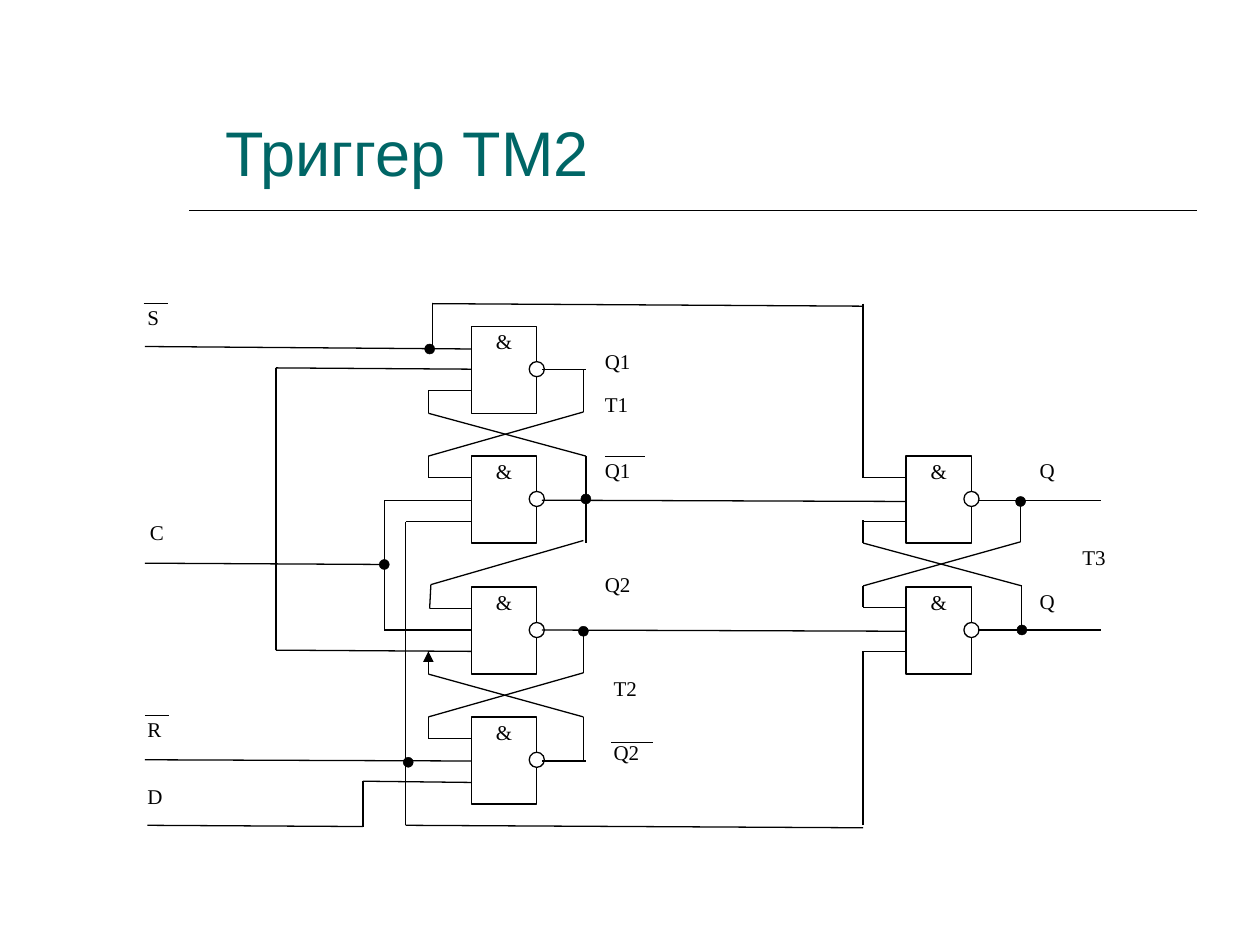
from itertools import pairwise
from typing import NamedTuple

from lxml.etree import SubElement
from pptx import Presentation
from pptx.dml.color import RGBColor
from pptx.enum.shapes import MSO_CONNECTOR, MSO_SHAPE
from pptx.enum.text import MSO_ANCHOR, MSO_AUTO_SIZE, PP_ALIGN
from pptx.oxml.ns import qn
from pptx.util import Pt

EMU_PER_PX = 9144  # 100 px to the inch
COLORS = {"ink": "000000", "paper": "FFFFFF", "title": "006666"}
GATE_WIDTH, GATE_HEIGHT = 52, 69
BUBBLE_SIZE, DOT_SIZE = 12, 8
LABEL_HEIGHT = 34

Point = tuple[int, int]


class Gate(NamedTuple):
    left: int
    top: int


class Latch(NamedTuple):
    """Cross-coupling below an upper gate, with the x of its two output ends."""
    upper: Gate
    output_x: int
    return_x: int
    arrow: bool = False


class Label(NamedTuple):
    text: str
    left: int
    top: int
    width: int = 52


GATES = [Gate(374, top) for top in (259, 362, 466, 569)]
GATES += [Gate(719, top) for top in (362, 466)]
LATCHES = [
    Latch(GATES[0], 463, 465),
    Latch(GATES[2], 463, 463, arrow=True),
    Latch(GATES[4], 810, 811),
]
WIRES: list[list[Point]] = [
    # Inputs S, C, R and D
    [(115, 275), (374, 277)],
    [(115, 447), (305, 448)],
    [(115, 603), (374, 604)],
    [(117, 655), (288, 656), (288, 620), (374, 621)],
    # S and R carried to the output latch
    [(343, 276), (343, 241), (685, 243)],
    [(685, 241), (685, 379), (719, 379)],
    [(374, 414), (322, 414), (322, 655), (685, 657)],
    [(685, 655), (685, 517), (719, 517)],
    # C branches, Q2 feedback and the link from T1 to T2
    [(374, 397), (305, 397), (305, 500), (374, 500)],
    [(374, 293), (219, 292), (219, 516), (374, 517)],
    [(465, 397), (465, 431)],
    [(463, 429), (342, 464), (341, 483), (374, 483)],
    # Gate outputs
    [(430, 293), (465, 293)],
    [(430, 397), (719, 398)],
    [(430, 500), (719, 501)],
    [(430, 604), (465, 604)],
    [(776, 397), (874, 397)],
    [(776, 500), (874, 500)],
    # Lower inputs of the two latches
    [(340, 310), (374, 310)],
    [(685, 414), (719, 414)],
]
DOTS: list[Point] = [(341, 277), (465, 396), (324, 605), (463, 501),
                     (305, 448), (810, 398), (811, 500)]
LABELS = [
    Label("S", 115, 241, 21), Label("С", 117, 411, 21),
    Label("R", 115, 568, 21), Label("D", 115, 621, 21),
    Label("Q1", 478, 276), Label("T1", 478, 310), Label("Q1", 478, 362),
    Label("Q2", 478, 453), Label("T2", 485, 535), Label("Q2", 485, 586),
    Label("Q", 823, 362), Label("T3", 857, 431), Label("Q", 823, 466),
]
OVERBARS: list[list[Point]] = [
    [(114, 241), (133, 241)], [(115, 568), (134, 568)],
    [(480, 362), (512, 362)], [(485, 589), (518, 589)],
]


def px(length: int) -> int:
    return length * EMU_PER_PX


def color(name: str) -> RGBColor:
    return RGBColor.from_string(COLORS[name])


def draw_route(slide, points: list[Point], width: float = 0.75, arrow: bool = False) -> None:
    """Join the points with straight lines; an arrowhead sits on the first point."""
    for index, (start, end) in enumerate(pairwise(points)):
        line = slide.shapes.add_connector(
            MSO_CONNECTOR.STRAIGHT, *(px(value) for value in start + end))
        line.line.color.rgb = color("ink")
        line.line.width = Pt(width)
        if arrow and index == 0:
            SubElement(line.line._get_or_add_ln(), qn("a:headEnd"), type="triangle")
        SubElement(line._element.spPr, qn("a:effectLst"))


def draw_shape(slide, kind: MSO_SHAPE, left: int, top: int, width: int, height: int,
               fill: str = "paper", line_width: float = 0.75):
    shape = slide.shapes.add_shape(kind, px(left), px(top), px(width), px(height))
    shape.shadow.inherit = False
    shape.fill.solid()
    shape.fill.fore_color.rgb = color(fill)
    shape.line.color.rgb = color("ink")
    shape.line.width = Pt(line_width)
    return shape


def write(shape, text: str, margins: tuple[int, int, int, int],
          size: int = 12, font: str = "Times New Roman", ink: str = "ink",
          anchor: MSO_ANCHOR = MSO_ANCHOR.TOP, align: PP_ALIGN = PP_ALIGN.LEFT) -> None:
    """Set one line of text; margins run left, top, right, bottom."""
    frame = shape.text_frame
    frame.text = text
    frame.word_wrap = True
    frame.auto_size = MSO_AUTO_SIZE.NONE
    frame.vertical_anchor = anchor
    (frame.margin_left, frame.margin_top,
     frame.margin_right, frame.margin_bottom) = (px(margin) for margin in margins)
    paragraph = frame.paragraphs[0]
    paragraph.alignment = align
    run_font = paragraph.runs[0].font
    run_font.name = font
    run_font.size = Pt(size)
    run_font.color.rgb = color(ink)


def draw_title(slide) -> None:
    title = slide.shapes.title
    title.left, title.top, title.width, title.height = (
        px(value) for value in (169, 8, 784, 147))
    write(title, "Триггер ТМ2", (10, 5, 10, 5), size=36, font="Arial",
          ink="title", anchor=MSO_ANCHOR.BOTTOM)
    draw_route(slide, [(150, 167), (950, 167)], width=1)


def draw_gate(slide, gate: Gate) -> None:
    """A NAND gate: a box with an inverting bubble on its right side."""
    box = draw_shape(slide, MSO_SHAPE.RECTANGLE, *gate, GATE_WIDTH, GATE_HEIGHT)
    write(box, "&", (2, 2, 2, 5), align=PP_ALIGN.CENTER)
    draw_shape(slide, MSO_SHAPE.OVAL, gate.left + 46, gate.top + 28,
               BUBBLE_SIZE, BUBBLE_SIZE)


def draw_latch(slide, latch: Latch) -> None:
    left, top = latch.upper.left - 34, latch.upper.top
    draw_route(slide, [(left, top + 51), (left, top + 69),
                       (latch.return_x, top + 103), (latch.return_x, top + 138)],
               arrow=latch.arrow)
    draw_route(slide, [(latch.output_x, top + 34), (latch.output_x, top + 68),
                       (left, top + 103), (left, top + 120),
                       (latch.upper.left, top + 120)])


def draw_dot(slide, center: Point) -> None:
    left, top = (value - DOT_SIZE // 2 for value in center)
    draw_shape(slide, MSO_SHAPE.OVAL, left, top, DOT_SIZE, DOT_SIZE,
               fill="ink", line_width=0.25)


def draw_label(slide, label: Label) -> None:
    box = slide.shapes.add_textbox(px(label.left), px(label.top),
                                   px(label.width), px(LABEL_HEIGHT))
    write(box, label.text, (2, 1, 2, 1))


def main() -> None:
    presentation = Presentation()
    presentation.slide_width, presentation.slide_height = px(1000), px(750)
    slide = presentation.slides.add_slide(presentation.slide_layouts[5])
    draw_title(slide)
    for gate in GATES:
        draw_gate(slide, gate)
    for wire in WIRES:
        draw_route(slide, wire)
    for latch in LATCHES:
        draw_latch(slide, latch)
    for dot in DOTS:
        draw_dot(slide, dot)
    for label in LABELS:
        draw_label(slide, label)
    for overbar in OVERBARS:
        draw_route(slide, overbar, width=0.5)
    presentation.save("out.pptx")


if __name__ == "__main__":
    main()
